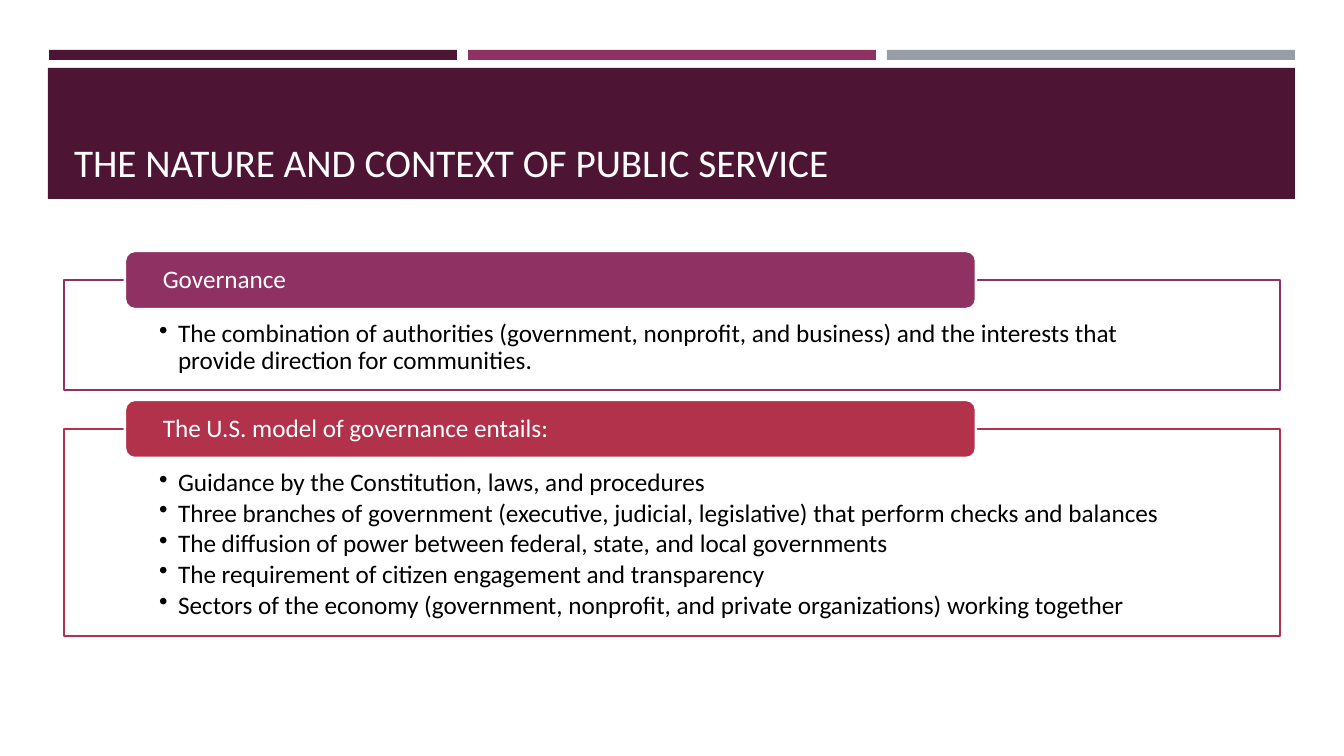
"""Build a slide on the nature and context of public service."""
import pptx
import pptx.dml.color
import pptx.enum.shapes
import pptx.enum.text
import pptx.util
from lxml import etree

RGBColor = pptx.dml.color.RGBColor
SHAPE = pptx.enum.shapes.MSO_SHAPE
ANCHOR = pptx.enum.text.MSO_ANCHOR
ALIGN = pptx.enum.text.PP_ALIGN

PLUM = RGBColor(0x4D, 0x14, 0x34)
PURPLE = RGBColor(0x90, 0x31, 0x63)
GREY = RGBColor(0x96, 0x9F, 0xA7)
RED = RGBColor(0xB2, 0x32, 0x4B)
WHITE = RGBColor(0xFF, 0xFF, 0xFF)
OFF_WHITE = RGBColor(0xFF, 0xFE, 0xFF)
BLACK = RGBColor(0, 0, 0)

FONT = "Calibri"
TITLE = "THE NATURE AND CONTEXT OF PUBLIC SERVICE"
STRIPES = [PLUM, PURPLE, GREY]
SECTIONS = [
    {"heading": "Governance", "color": PURPLE, "top": 280, "height": 110,
     "points": [
         "The combination of authorities (government, nonprofit, and business) "
         "and the interests that provide direction for communities."]},
    {"heading": "The U.S. model of governance entails:", "color": RED,
     "top": 429, "height": 207,
     "points": [
         "Guidance by the Constitution, laws, and procedures",
         "Three branches of government (executive, judicial, legislative) "
         "that perform checks and balances",
         "The diffusion of power between federal, state, and local governments",
         "The requirement of citizen engagement and transparency",
         "Sectors of the economy (government, nonprofit, and private "
         "organizations) working together"]},
]

SLIDE_W, SLIDE_H = 1344, 756
STRIPE_LEFT, STRIPE_TOP, STRIPE_W, STRIPE_H, STRIPE_GAP = 49, 50, 408, 10, 11
CONTENT_LEFT, CONTENT_W = 64, 1216
HEADING_LEFT, HEADING_W, HEADING_H = 125, 851, 58
BULLET_INDENT = 19


def px(length):
    return round(length * 914400 / 100.8)


def add_block(slide, kind, box, fill, line=None):
    block = slide.shapes.add_shape(kind, *map(px, box))
    block.shadow.inherit = False
    block.fill.solid()
    block.fill.fore_color.rgb = fill
    if line is None:
        block.line.fill.background()
    else:
        block.line.color.rgb = line
        block.line.width = pptx.util.Pt(1.75)
    return block


def set_frame(frame, anchor, insets):
    frame.word_wrap = True
    frame.auto_size = pptx.enum.text.MSO_AUTO_SIZE.NONE
    frame.vertical_anchor = anchor
    (frame.margin_left, frame.margin_top,
     frame.margin_right, frame.margin_bottom) = map(px, insets)


def write(paragraph, text, size, color, spacing=0.9):
    paragraph.alignment = ALIGN.LEFT
    paragraph.line_spacing = spacing
    run = paragraph.add_run()
    run.text = text
    run.font.name = FONT
    run.font.size = pptx.util.Pt(size)
    run.font.color.rgb = color


def add_bullet(paragraph):
    properties = paragraph._p.get_or_add_pPr()
    properties.set("marL", str(px(BULLET_INDENT)))
    properties.set("indent", str(-px(BULLET_INDENT)))
    bullet = etree.SubElement(properties, pptx.oxml.ns.qn("a:buChar"))
    bullet.set("char", "•")


def add_section(slide, section):
    top, color = section["top"], section["color"]
    body = add_block(slide, SHAPE.RECTANGLE,
                     (CONTENT_LEFT, top, CONTENT_W, section["height"]), WHITE, color)
    frame = body.text_frame
    set_frame(frame, ANCHOR.TOP, (95, 41, 95, 14))
    for index, point in enumerate(section["points"]):
        paragraph = frame.add_paragraph() if index else frame.paragraphs[0]
        add_bullet(paragraph)
        paragraph.level = 1
        paragraph.space_after = pptx.util.Pt(2.4)
        write(paragraph, point, 18, BLACK)
    heading = add_block(slide, SHAPE.ROUNDED_RECTANGLE,
                        (HEADING_LEFT, top - HEADING_H // 2, HEADING_W, HEADING_H),
                        color, WHITE)
    set_frame(heading.text_frame, ANCHOR.MIDDLE, (35, 0, 35, 0))
    write(heading.text_frame.paragraphs[0], section["heading"], 18, WHITE)


def main():
    deck = pptx.Presentation()
    deck.slide_width, deck.slide_height = px(SLIDE_W), px(SLIDE_H)
    slide = deck.slides.add_slide(deck.slide_layouts[5])

    for index, color in enumerate(STRIPES):
        left = STRIPE_LEFT + index * (STRIPE_W + STRIPE_GAP)
        add_block(slide, SHAPE.RECTANGLE, (left, STRIPE_TOP, STRIPE_W, STRIPE_H), color)
    banner = add_block(slide, SHAPE.RECTANGLE, (48, 68, 1247, 131), PLUM)

    title = slide.shapes.title
    title.left, title.top, title.width, title.height = map(
        px, (CONTENT_LEFT, 78, CONTENT_W, 112))
    set_frame(title.text_frame, ANCHOR.BOTTOM, (10, 5, 10, 5))
    write(title.text_frame.paragraphs[0], TITLE, 28, OFF_WHITE, 1.0)
    banner._element.addnext(title._element)

    for section in SECTIONS:
        add_section(slide, section)
    deck.save("out.pptx")


if __name__ == "__main__":
    main()
